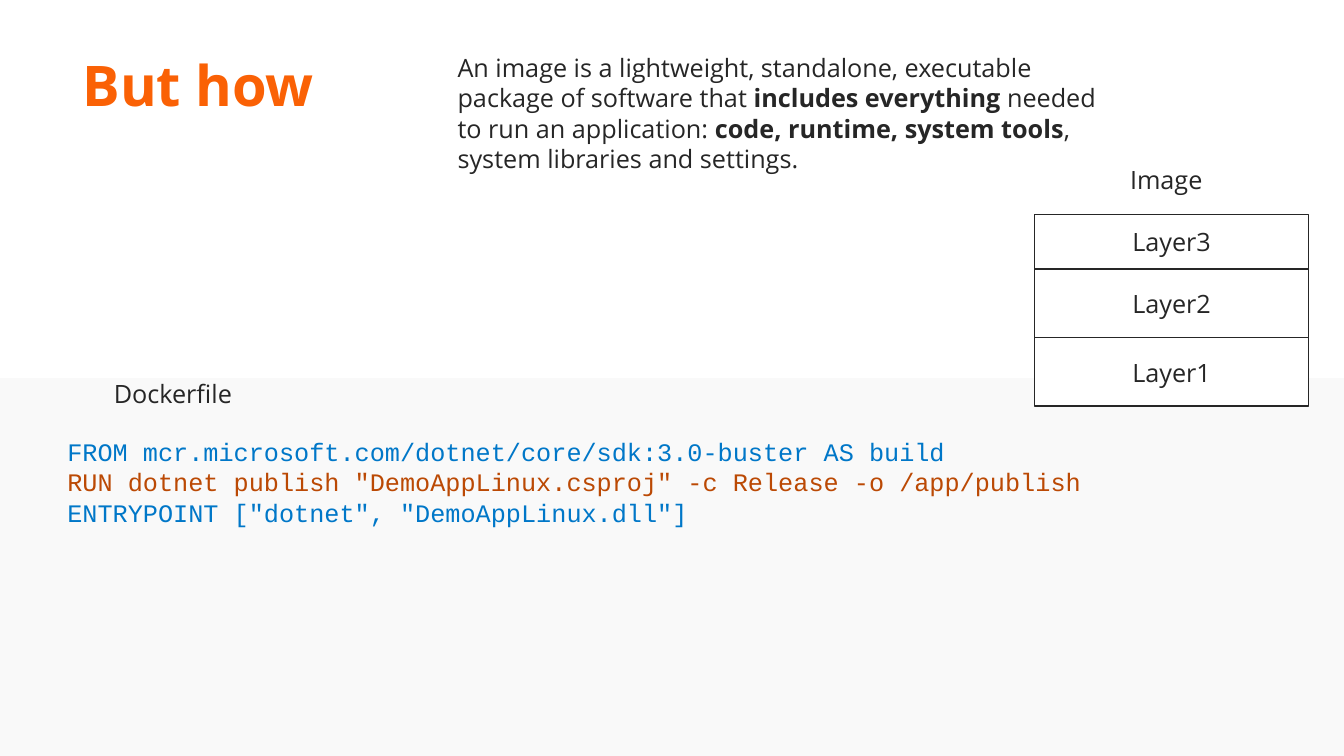
from pptx import Presentation
from pptx.dml.color import RGBColor
from pptx.enum.shapes import MSO_SHAPE as Shape
from pptx.enum.text import MSO_ANCHOR as Anchor, MSO_AUTO_SIZE as AutoSize, PP_ALIGN as Align
from pptx.util import Emu, Pt

PX = 9144
ORANGE = RGBColor(0xFA, 0x61, 0x05)
RUST = RGBColor(0xBB, 0x49, 0x04)
BLUE = RGBColor(0x00, 0x77, 0xC8)
INK = RGBColor(0x26, 0x26, 0x26)
WHITE = RGBColor(0xFF, 0xFF, 0xFF)
PALE = RGBColor(0xF9, 0xF9, 0xF9)
SANS = "Open Sans"
MONO = "Courier New"


def px(*lengths):
    return [Emu(length * PX) for length in lengths]


def add_run(paragraph, text, color=INK, font=SANS, size=18, bold=False):
    run = paragraph.add_run()
    run.text = text
    run.font.name = font
    run.font.size = Pt(size)
    run.font.bold = bold
    run.font.color.rgb = color


def add_text(slide, box, grow=True):
    frame = slide.shapes.add_textbox(*px(*box)).text_frame
    frame.word_wrap = True
    frame.auto_size = AutoSize.SHAPE_TO_FIT_TEXT if grow else AutoSize.NONE
    return frame


def add_label(slide, box, text):
    add_run(add_text(slide, box).paragraphs[0], text)


def add_title(slide, box, text):
    paragraph = add_text(slide, box, grow=False).paragraphs[0]
    paragraph.line_spacing = 0.9
    add_run(paragraph, text, ORANGE, size=40, bold=True)


def add_definition(slide, box, parts):
    paragraph = add_text(slide, box).paragraphs[0]
    for text, bold in parts:
        add_run(paragraph, text, bold=bold)


def add_code(slide, box, lines):
    frame = add_text(slide, box)
    for index, (text, color) in enumerate(lines):
        paragraph = frame.add_paragraph() if index else frame.paragraphs[0]
        add_run(paragraph, text, color, MONO)


def add_rectangle(slide, box, fill, line=None):
    shape = slide.shapes.add_shape(Shape.RECTANGLE, *px(*box))
    shape.shadow.inherit = False
    shape.fill.solid()
    shape.fill.fore_color.rgb = fill
    if line is None:
        shape.line.fill.background()
    else:
        shape.line.color.rgb = line
        shape.line.width = Pt(1)
    return shape


def add_layers(slide, left, top, width, layers):
    for name, height in layers:
        shape = add_rectangle(slide, (left, top, width, height), WHITE, INK)
        frame = shape.text_frame
        frame.vertical_anchor = Anchor.MIDDLE
        frame.paragraphs[0].alignment = Align.CENTER
        add_run(frame.paragraphs[0], name)
        top += height


def main():
    presentation = Presentation()
    presentation.slide_width, presentation.slide_height = px(1333, 750)
    slide = presentation.slides.add_slide(presentation.slide_layouts[6])
    add_rectangle(slide, (0, 375, 1333, 375), PALE)
    add_title(slide, (72, 53, 265, 71), "But how")
    add_definition(slide, (444, 47, 667, 131), [
        ("An image is a lightweight, standalone, executable package of software that ", False),
        ("includes everything", True),
        (" needed to run an application: ", False),
        ("code, runtime, system tools", True),
        (", system libraries and settings.", False),
    ])
    add_code(slide, (57, 428, 1043, 101), [
        ("FROM mcr.microsoft.com/dotnet/core/sdk:3.0-buster AS build", BLUE),
        ('RUN dotnet publish "DemoAppLinux.csproj" -c Release -o /app/publish', RUST),
        ('ENTRYPOINT ["dotnet", "DemoAppLinux.dll"]', BLUE),
    ])
    add_layers(slide, 1026, 213, 272, [("Layer3", 54), ("Layer2", 68), ("Layer1", 68)])
    add_label(slide, (103, 370, 178, 40), "Dockerfile")
    add_label(slide, (1111, 158, 103, 40), "Image")
    presentation.save("out.pptx")


if __name__ == "__main__":
    main()
